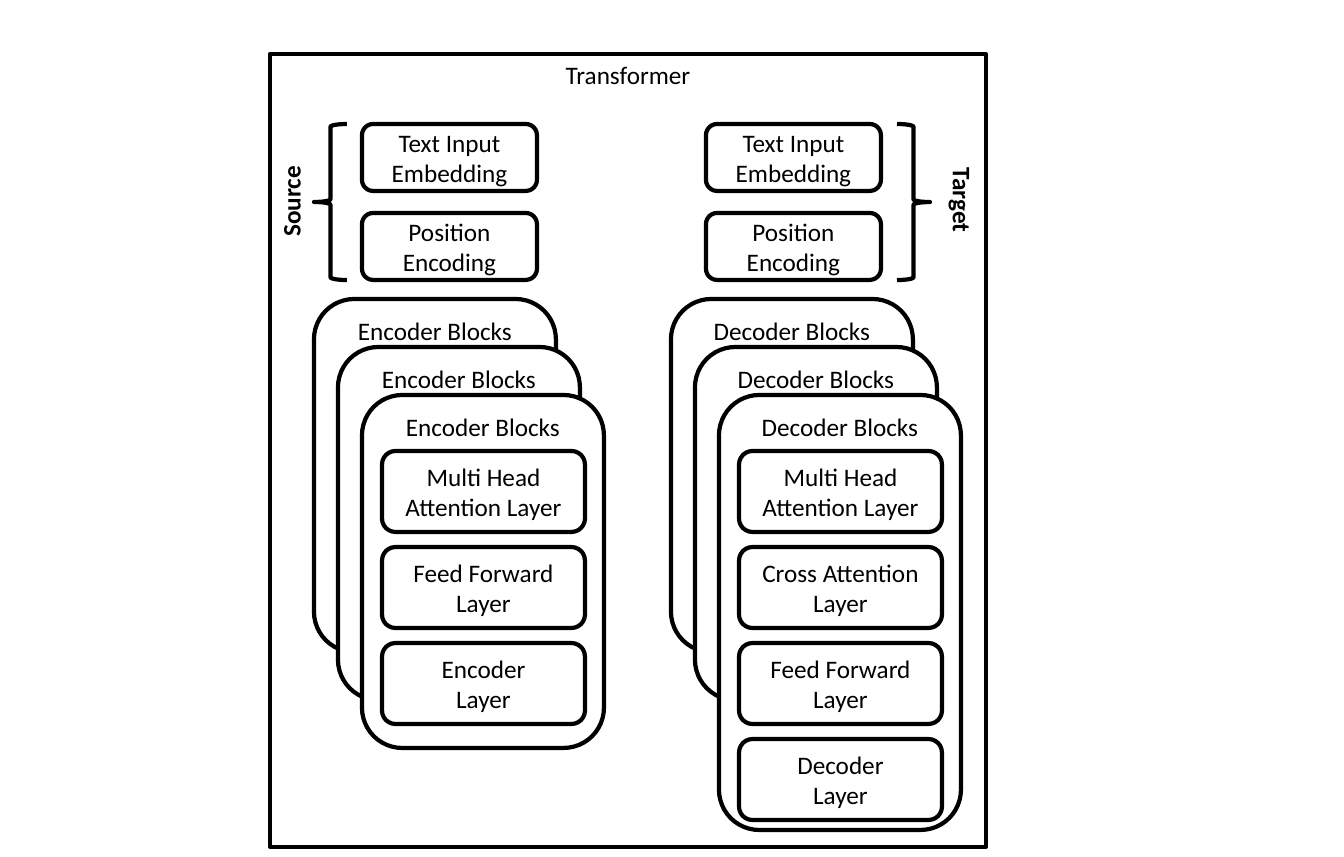
from pptx import Presentation
from pptx.dml.color import RGBColor
from pptx.enum.shapes import MSO_SHAPE
from pptx.enum.text import MSO_ANCHOR, MSO_AUTO_SIZE, PP_ALIGN
from pptx.util import Emu, Pt

ROUNDED = MSO_SHAPE.ROUNDED_RECTANGLE
BRACE = MSO_SHAPE.LEFT_BRACE
TOP, MIDDLE = MSO_ANCHOR.TOP, MSO_ANCHOR.MIDDLE
CENTER, LEFT = PP_ALIGN.CENTER, PP_ALIGN.LEFT
NO_FIT, GROW = MSO_AUTO_SIZE.NONE, MSO_AUTO_SIZE.SHAPE_TO_FIT_TEXT

EMU_PER_PIXEL = 914400 / 100.8
BLACK, WHITE = "000000", "FFFFFF"


def px(length):
    return Emu(round(length * EMU_PER_PIXEL))


def color(value):
    return RGBColor.from_string(value)


def set_attributes(target, values):
    for name, value in values.items():
        setattr(target, name, value)


def write(shape, text, anchor=MIDDLE, align=CENTER, bold=False, wrap=True, fit=NO_FIT):
    frame = shape.text_frame
    frame.text = text
    set_attributes(frame, {"word_wrap": wrap, "auto_size": fit, "vertical_anchor": anchor})
    for paragraph in frame.paragraphs:
        paragraph.alignment = align
        set_attributes(paragraph.font, {"name": "Calibri", "size": Pt(18), "bold": bold})
        paragraph.font.color.rgb = color(BLACK)


def outline(shape):
    shape.line.color.rgb = color(BLACK)
    shape.line.width = Pt(3)


def add_frame(slide, text, left, top, width, height):
    title = slide.shapes.title
    set_attributes(title, {"left": px(left), "top": px(top),
                           "width": px(width), "height": px(height)})
    outline(title)
    write(title, text, anchor=TOP)


def add_box(slide, text, left, top, width, height, anchor=MIDDLE):
    box = slide.shapes.add_shape(ROUNDED, px(left), px(top), px(width), px(height))
    box.shadow.inherit = False
    box.fill.solid()
    box.fill.fore_color.rgb = color(WHITE)
    outline(box)
    write(box, text, anchor)


def add_brace(slide, left, rotation):
    brace = slide.shapes.add_shape(BRACE, px(left), px(124), px(33), px(156))
    brace.shadow.inherit = False
    brace.fill.background()
    brace.rotation = rotation
    outline(brace)


def add_side_label(slide, text, left, width, rotation):
    label = slide.shapes.add_textbox(px(left), px(181), px(width), px(40))
    label.rotation = rotation
    write(label, text, anchor=TOP, align=LEFT, bold=True, wrap=False, fit=GROW)


def add_inputs(slide, left):
    for row, text in enumerate(["Text Input\nEmbedding", "Position Encoding"]):
        add_box(slide, text, left, 124 + 89 * row, 175, 67)


def add_stack(slide, name, left, front_height, layers):
    for index, height in enumerate([353, 353, front_height]):
        add_box(slide, name, left + 24 * index, 299 + 48 * index, 242, height, TOP)
    for row, text in enumerate(layers):
        add_box(slide, text, left + 68, 451 + 96 * row, 203, 81)


def main():
    presentation = Presentation()
    presentation.slide_width, presentation.slide_height = px(1344), px(857)
    slide = presentation.slides.add_slide(presentation.slide_layouts[5])

    add_frame(slide, "Transformer", 270, 54, 716, 793)

    add_inputs(slide, 362)
    add_stack(slide, "Encoder Blocks", 314, 353,
              ["Multi Head Attention Layer", "Feed Forward Layer", "Encoder\nLayer"])
    add_brace(slide, 314, 0)
    add_side_label(slide, "Source", 245, 91, 270)

    add_inputs(slide, 706)
    add_stack(slide, "Decoder Blocks", 671, 435,
              ["Multi Head Attention Layer", "Cross Attention Layer",
               "Feed Forward Layer", "Decoder\nLayer"])
    add_brace(slide, 897, 180)
    add_side_label(slide, "Target", 920, 86, 90)

    presentation.save("out.pptx")


main()
